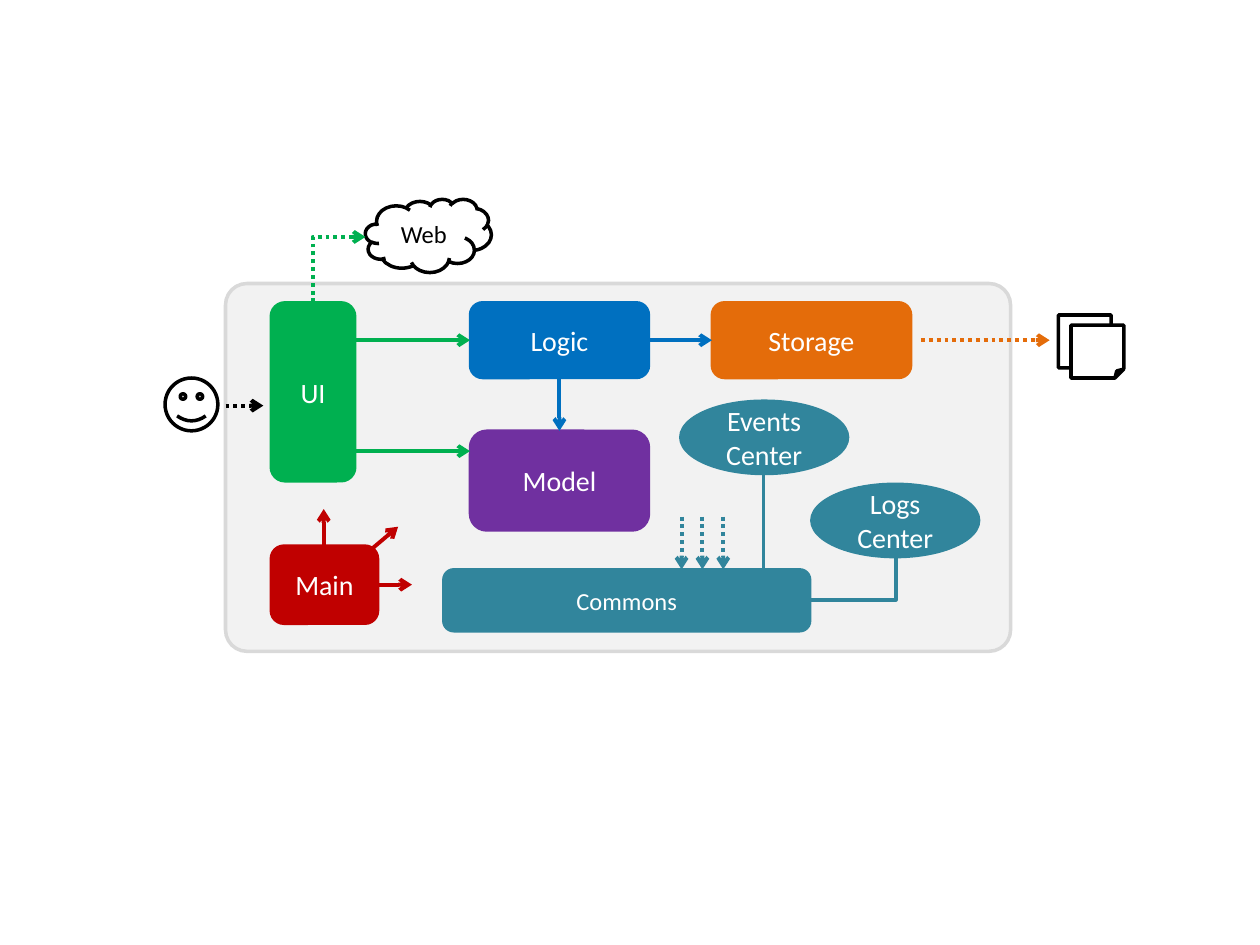
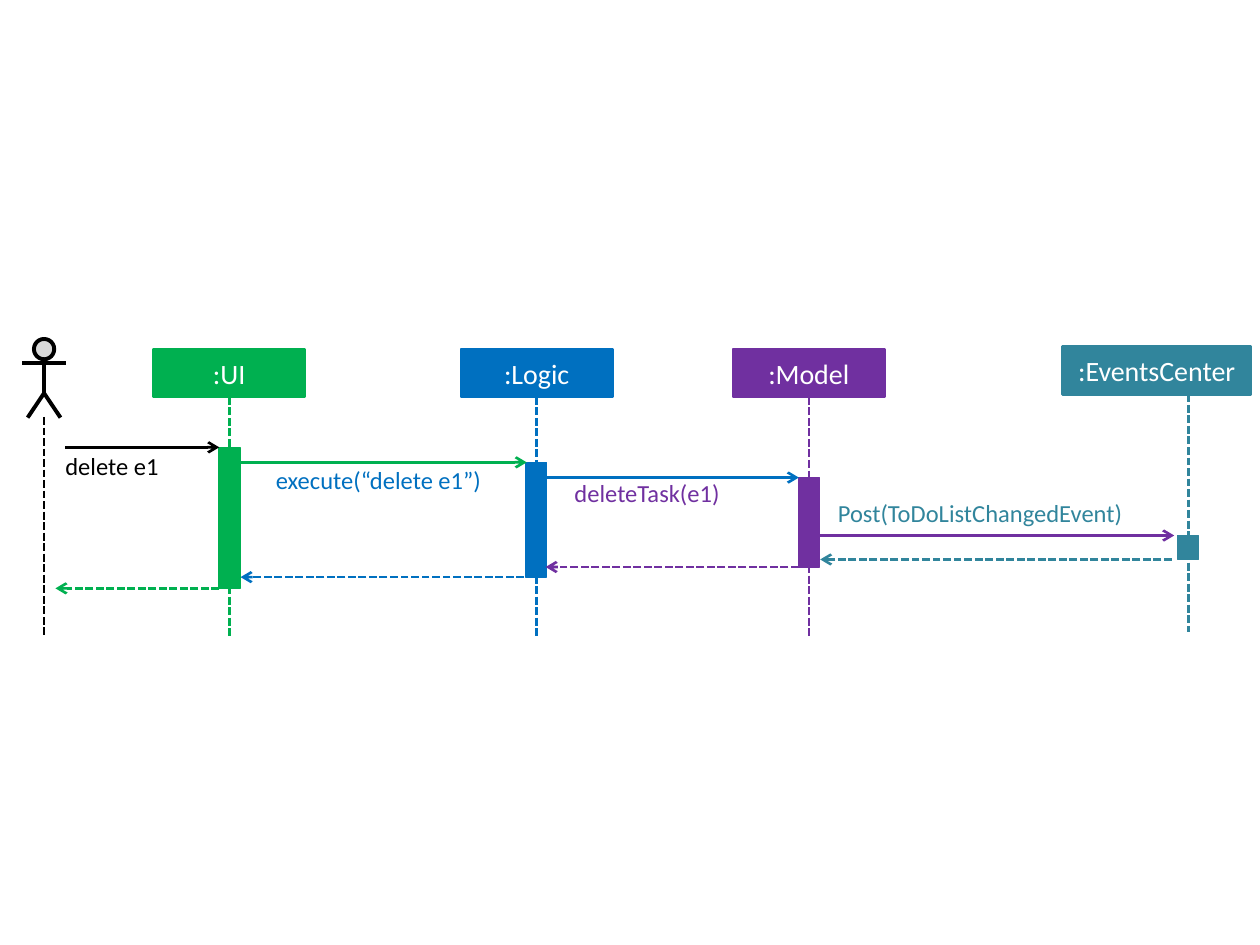
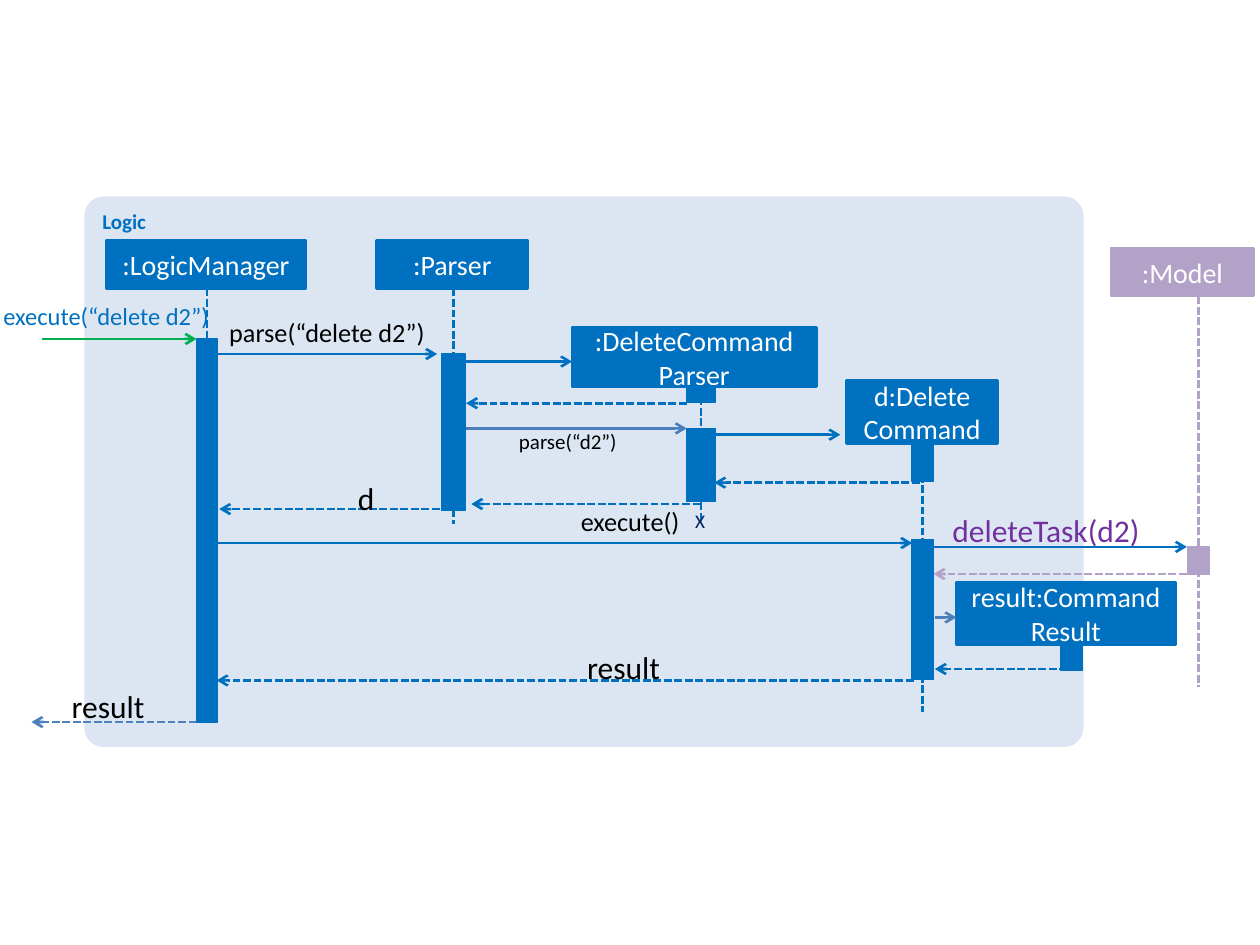
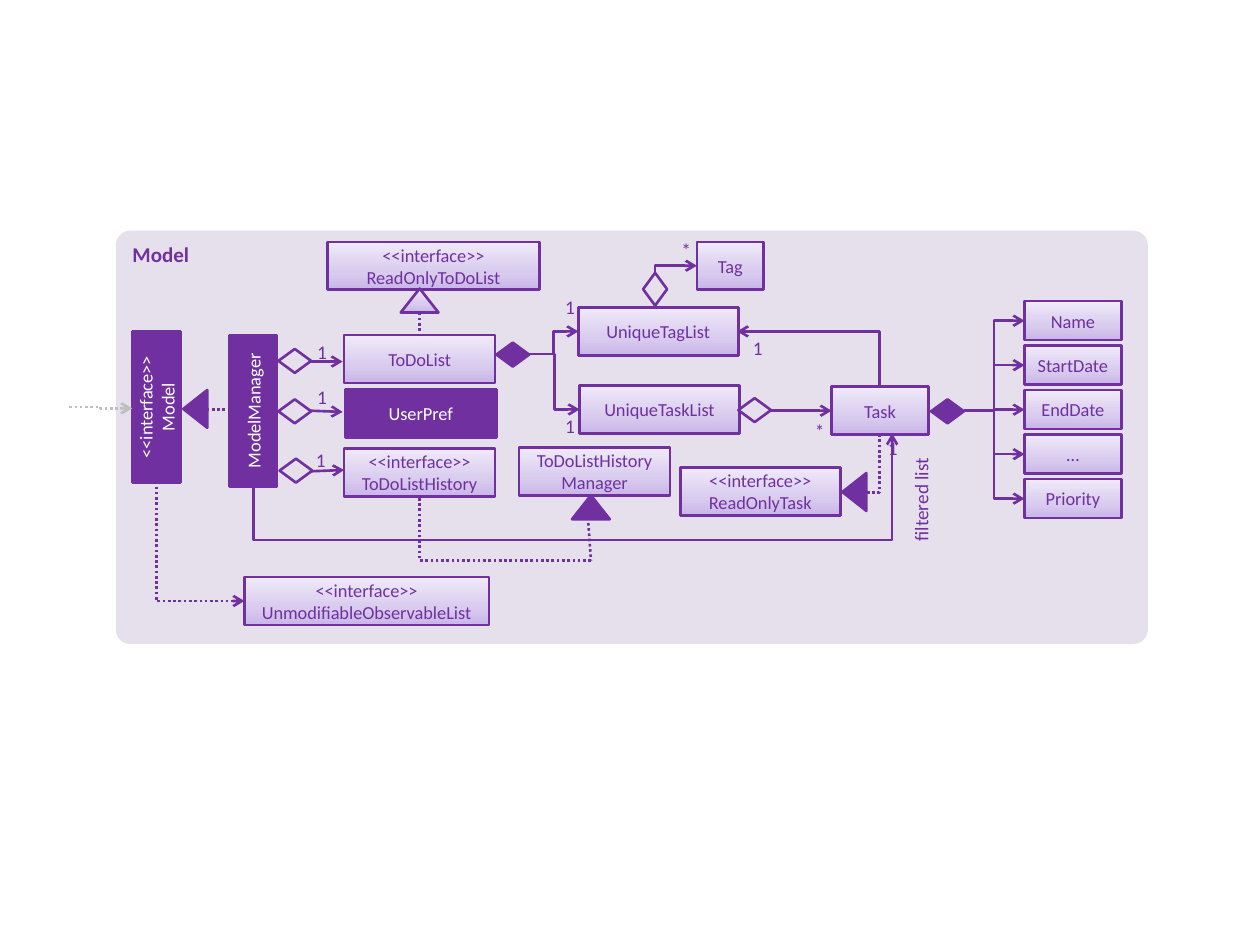
from copy import deepcopy

from lxml import etree
from pptx import Presentation
from pptx import util as u
from pptx.dml.color import RGBColor
from pptx.enum import dml, shapes, text
from pptx.oxml.ns import qn

Kind = shapes.MSO_SHAPE
Align = text.PP_ALIGN
Anchor = text.MSO_ANCHOR
DOTS = dml.MSO_LINE.ROUND_DOT
DASHES = dml.MSO_LINE.SQUARE_DOT
COLORS = {
    "ui": "00B050", "logic": "0070C0", "storage": "E46C0A", "model": "7030A0",
    "commons": "31859C", "main": "C00000", "black": "000000", "white": "FFFFFF",
    "panel": "F2F2F2", "panel_edge": "D9D9D9", "logic_panel": "DCE6F2",
    "model_panel": "E6E0EC", "pale_model": "B3A2C7", "steel": "4F81BD",
    "call": "4B7EBC", "navy": "002060", "gray": "BFBFBF",
}
GRADIENT = {0: "C9B5E8", 0.35: "D8CBEE", 1: "F0EAF9"}


def pts(*values):
    return [u.Pt(value) for value in values]


def rgb(color):
    return RGBColor.from_string(COLORS[color])


def apply(target, values):
    for name, value in values.items():
        setattr(target, name, value)


class Diagram:
    font = "Calibri"

    def __init__(self):
        self.deck = Presentation()
        apply(self.deck, {"slide_width": u.Pt(720), "slide_height": u.Pt(540)})

    def start(self):
        slide = self.deck.slides.add_slide(self.deck.slide_layouts[6])
        self.shapes = slide.shapes

    def set_words(self, frame, words, color, size, align, bold=False):
        frame.text = words
        for paragraph in frame.paragraphs:
            paragraph.alignment = align
            for run in paragraph.runs:
                apply(run.font, {"name": self.font, "size": u.Pt(size), "bold": bold})
                run.font.color.rgb = rgb(color)

    def outline(self, target, color, width):
        target.line.color.rgb = rgb(color)
        target.line.width = u.Pt(width)

    def shade(self, shape):
        shape.fill.gradient()
        stops = shape._element.spPr.find(".//" + qn("a:gsLst"))
        stops.append(deepcopy(stops[0]))
        for stop, (position, color) in zip(shape.fill.gradient_stops, GRADIENT.items()):
            stop.position = position
            stop.color.rgb = RGBColor.from_string(color)
        shape.fill.gradient_angle = 90

    def box(self, kind, place, fill, words="", edge=None, width=1.5, size=16,
            color="white", turn=0):
        shape = self.shapes.add_shape(kind, *pts(*place))
        shape.rotation = turn
        shape.shadow.inherit = False
        if fill == "gradient":
            self.shade(shape)
        elif fill:
            shape.fill.solid()
            shape.fill.fore_color.rgb = rgb(fill)
        else:
            shape.fill.background()
        self.outline(shape, edge or fill, width)
        if words:
            apply(shape.text_frame, {"word_wrap": True, "vertical_anchor": Anchor.MIDDLE})
            self.set_words(shape.text_frame, words, color, size, Align.CENTER)
        return shape

    def panel(self, place, fill, corner, title="", color="black", edge=None):
        shape = self.box(Kind.ROUNDED_RECTANGLE, place, fill, edge=edge, width=2)
        shape.adjustments[0] = corner
        if not edge:
            shape.line.fill.background()
        if title:
            shape.text_frame.vertical_anchor = Anchor.TOP
            self.set_words(shape.text_frame, title, color, 12, Align.LEFT, True)

    def label(self, place, words, color="black", size=14, align=Align.LEFT,
              inset=(0, 0), wrap=True, turn=0):
        note = self.shapes.add_textbox(*pts(*place))
        note.rotation = turn
        side, top = pts(*inset)
        apply(note.text_frame, {
            "margin_left": side, "margin_right": side, "margin_top": top,
            "margin_bottom": top, "word_wrap": wrap})
        self.set_words(note.text_frame, words, color, size, align)

    def line(self, begin, end, color, width=1.5, dash=None, arrow=True,
             kind=shapes.MSO_CONNECTOR.STRAIGHT):
        link = self.shapes.add_connector(kind, *pts(*begin, *end))
        self.outline(link, color, width)
        if dash:
            link.line.dash_style = dash
        properties = link._element.spPr
        if arrow:
            etree.SubElement(properties.find(qn("a:ln")), qn("a:tailEnd"), type="arrow")
        etree.SubElement(properties, qn("a:effectLst"))
        return link

    def elbow(self, begin, end, color, bends=1, down=False, bend_at=None, **look):
        if down:
            (x1, y1), (x2, y2) = begin, end
            cx, cy = (x1 + x2) / 2, (y1 + y2) / 2
            along, across = (y2 - y1) / 2, (x1 - x2) / 2
            begin, end = (cx - along, cy - across), (cx + along, cy + across)
        link = self.line(begin, end, color, kind=shapes.MSO_CONNECTOR.ELBOW, **look)
        properties = link._element.spPr
        geometry = properties.find(qn("a:prstGeom"))
        geometry.set("prst", f"bentConnector{bends + 1}")
        if down:
            properties.find(qn("a:xfrm")).set("rot", "5400000")
        if bend_at is not None:
            guides = geometry.find(qn("a:avLst"))
            if guides is None:
                guides = etree.SubElement(geometry, qn("a:avLst"))
            etree.SubElement(guides, qn("a:gd"), name="adj1",
                             fmla=f"val {round(bend_at * 100000)}")

    def message(self, start, end, y, color, reply=False):
        self.line((start, y), (end, y), color, dash=DASHES if reply else None)

    def lifeline(self, name, head, color, axis, end, bars, thick=12):
        self.box(Kind.RECTANGLE, head, color, name)
        if end:
            self.line((axis, head[1] + head[3]), (axis, end), color, dash=DASHES, arrow=False)
        for top, height in bars:
            self.box(Kind.RECTANGLE, (axis - thick / 2, top, thick, height), color, width=0.75)

    def actor(self, axis, top):
        slide_shapes = self.shapes
        self.shapes = slide_shapes.add_group_shape().shapes
        self.box(Kind.FLOWCHART_CONNECTOR, (axis - 5.8, top, 11.6, 11.6), "panel_edge",
                 edge="black", width=2.25)
        hip = top + 31
        self.line((axis, top + 11.6), (axis, hip), "black", 2.25, arrow=False)
        pen = self.shapes.build_freeform(*pts(axis - 9.4, hip + 14))
        pen.add_line_segments([pts(axis, hip), pts(axis + 9.4, hip + 14)], close=False)
        legs = pen.convert_to_shape()
        legs.shadow.inherit = False
        legs.fill.background()
        self.outline(legs, "black", 2.25)
        self.line((axis - 12.6, top + 13.7), (axis + 12.6, top + 13.7), "black", 2.25, arrow=False)
        self.shapes = slide_shapes

    def entity(self, place, words, fill="gradient", turn=0):
        self.box(Kind.RECTANGLE, place, fill, words, "model", size=10.5,
                 color="model" if fill == "gradient" else "white", turn=turn)

    def diamond(self, x, y, fill=None, turn=0):
        self.box(Kind.FLOWCHART_DECISION, (x, y, 18.7, 13.7), fill, edge="model", turn=turn)

    def triangle(self, x, y, fill="model", turn=0):
        self.box(Kind.ISOSCELES_TRIANGLE, (x, y, 21.6, 13.7), fill, edge="model", turn=turn)


d = Diagram()

d.start()
d.panel((128.9, 162, 448.6, 210.2), "panel", 0.058, edge="panel_edge")
for name, place, color, size in [
    ("UI", (154.8, 172.8, 48.2, 102.2), "ui", 16),
    ("Logic", (268.6, 172.8, 102.2, 43.2), "logic", 16),
    ("Storage", (406.8, 172.8, 113.8, 43.2), "storage", 16),
    ("Model", (268.6, 246.2, 102.2, 56.9), "model", 16),
    ("Commons", (253.4, 325.4, 209.5, 35.3), "commons", 14),
    ("Main", (154.8, 311.8, 61.2, 44.6), "main", 16),
]:
    d.box(Kind.ROUNDED_RECTANGLE, place, color, name, size=size)
for begin, end, color, dash in [
    ((202.3, 194.4), (268.6, 194.4), "ui", None),
    ((202.3, 257.8), (268.6, 257.8), "ui", None),
    ((319.7, 216), (319.7, 246.2), "logic", None),
    ((370.8, 194.4), (406.8, 194.4), "logic", None),
    ((128.9, 231.8), (150.5, 231.8), "black", DOTS),
    ((526.3, 194.4), (599.8, 194.4), "storage", DOTS),
    ((216, 334.1), (235.4, 334.1), "main", None),
    ((204.5, 320.4), (227.5, 301), "main", None),
    ((185, 314.6), (185, 290.9), "main", None),
    *[((x, 295.2), (x, 325.4), "commons", DOTS) for x in (389.5, 401.4, 413.3)],
]:
    d.line(begin, end, color, 2.25, dash)
for kind, place, words in [
    (Kind.SMILEY_FACE, (94.3, 216, 30.2, 30.2), ""),
    (Kind.FOLDED_CORNER, (604.8, 180, 30.2, 30.2), ""),
    (Kind.FOLDED_CORNER, (612, 185.8, 30.2, 30.2), ""),
    (Kind.CLOUD, (208.8, 113.8, 72, 41.8), "Web"),
]:
    d.box(kind, place, "white", words, "black", 2, 14, "black")
d.elbow((178.6, 172.8), (208.8, 135.4), "ui", down=True, width=2.25, dash=DOTS)
d.box(Kind.OVAL, (388.8, 229, 95.8, 41.8), "commons", "Events Center")
d.box(Kind.OVAL, (463.7, 276.5, 95.8, 41.8), "commons", "Logs\vCenter")
d.elbow((511.9, 319), (463, 342.7), "commons", down=True, width=2.25, arrow=False)
d.line((436.3, 271.4), (436.3, 326.2), "commons", 2.25, arrow=False)

d.start()
d.actor(25.2, 193.7)
d.line((25.2, 238.3), (25.2, 364.3), "black", dash=DASHES, arrow=False)
for name, head, color, axis, end, bar in [
    (":UI", (87.8, 199.4, 86.4, 27.4), "ui", 131.2, 363.6, (255.6, 80.6)),
    (":Logic", (263.5, 199.4, 86.4, 27.4), "logic", 306.4, 364.3, (264.2, 65.5)),
    (":Model", (419, 199.4, 86.4, 27.4), "model", 462.2, 363.6, (272.9, 51.1)),
    (":EventsCenter", (607, 198, 108, 27.4), "commons", 679, 361.4, (306, 13.7)),
]:
    d.lifeline(name, head, color, axis, end, [bar])
for start, end, y, color, reply in [
    (37.4, 125.3, 255.6, "black", False),
    (137.5, 301, 264.2, "ui", False),
    (311.8, 456.5, 272.9, "logic", False),
    (468.7, 671, 306, "model", False),
    (669.6, 468.7, 319.7, "commons", True),
    (456.5, 311.8, 324, "model", True),
    (299.5, 137.5, 329.8, "logic", True),
    (125.3, 31.7, 336.2, "ui", True),
]:
    d.message(start, end, y, color, reply)
for x, y, width, words, color in [
    (37.4, 257.8, 67.7, "delete e1", "black"),
    (157.7, 265.7, 125.3, "execute(“delete e1”)", "logic"),
    (328.3, 272.9, 112.3, "deleteTask(e1)", "model"),
    (478.8, 284.4, 192.2, "Post(ToDoListChangedEvent)", "commons"),
]:
    d.label((x, y, width, 17.3), words, color)

d.start()
d.panel((48.2, 112.3, 571, 314.6), "logic_panel", 0.035, "Logic", "logic")
for name, head, color, axis, end, bars, thick in [
    (":LogicManager", (60.5, 137.5, 114.5, 27.4), "logic", 118.3, 370.8,
     [(193.7, 218.9)], 12.2),
    (":Parser", (215.3, 137.5, 86.4, 27.4), "logic", 259, 299.5, [(202.3, 89.3)], 13.7),
    ("d:Delete\vCommand", (483.8, 217.4, 86.4, 36), "logic", 527, 406.8,
     [(253.4, 21.6), (308.2, 79.9)], 12.6),
    (":Model", (635, 141.8, 81.4, 27.4), "pale_model", 684.9, 392.4, [(312.5, 15.8)], 12.2),
    ("result:Command Result", (546.5, 332.6, 125.3, 36), "logic", 612.4, None,
     [(369.4, 13.7)], 12.2),
    (":DeleteCommand\nParser", (326.9, 187.2, 139.7, 33.8), "logic", 400.6, 298.8,
     [(220.3, 9.4), (244.8, 41.8)], 16.6),
]:
    d.lifeline(name, head, color, axis, end, bars, thick)
for start, end, y, color, reply in [
    (23.8, 112.3, 193.7, "ui", False),
    (123.8, 249.8, 202.3, "logic", False),
    (262.8, 326.9, 206.6, "logic", False),
    (392.4, 266.4, 230.4, "logic", True),
    (266.4, 392.4, 244.8, "call", False),
    (408.2, 480.2, 248.4, "logic", False),
    (525.6, 408.2, 275.8, "logic", True),
    (400.3, 269.3, 288, "logic", True),
    (251.3, 125.3, 290.9, "logic", True),
    (123.8, 521.3, 310.3, "logic", False),
    (533.5, 678.2, 312.5, "logic", False),
    (678.2, 533.5, 328, "pale_model", True),
    (534.2, 546.5, 352.8, "call", False),
    (609.8, 534.2, 382.3, "logic", True),
    (522, 123.8, 388.8, "logic", True),
    (112.3, 18, 412.6, "steel", True),
]:
    d.message(start, end, y, color, reply)
for place, words, color, size, align in [
    ((-2.9, 172.1, 122.4, 17.3), "execute(“delete d2”)", "logic", 14, Align.RIGHT),
    ((131, 180.7, 112.3, 18), "parse(“delete d2”)", "black", 15, Align.LEFT),
    ((296.6, 244.8, 60.5, 14.4), "parse(“d2”)", "black", 12, Align.LEFT),
    ((331.9, 288.7, 81.4, 18), "execute()", "black", 15, Align.LEFT),
    ((544.3, 292.3, 112.3, 21.6), "deleteTask(d2)", "model", 18, Align.LEFT),
    ((204.5, 273.6, 17.3, 17.3), "d", "black", 18, Align.LEFT),
    ((335.5, 370.1, 49, 17.3), "result", "black", 18, Align.LEFT),
    ((41, 392.4, 59.8, 17.3), "result", "black", 18, Align.LEFT),
]:
    d.label(place, words, color, size, align)
d.label((390.2, 287.3, 20.2, 20.9), "X", "navy", 11, inset=(7.2, 3.6), wrap=False)

d.start()
d.panel((66.2, 131.8, 589.7, 236.2), "model_panel", 0.035, "Model", "model")
for x, y, words, turn in [
    (197.3, 222.5, "UserPref", 0),
    (101.5, 221, "ModelManager", 270),
    (46.1, 218.9, "<<interface>>\nModel", 270),
]:
    d.entity((x, y, 86.4, 27.4), words, "model", turn)
for x, y, width, words in [
    (196.6, 191.5, 86.4, "ToDoList"),
    (331.2, 220.3, 91.4, "UniqueTaskList"),
    (330.5, 175.7, 91.4, "UniqueTagList"),
    (475.2, 221, 55.4, "Task"),
    (398.2, 138.2, 38.2, "Tag"),
    (388.8, 267.1, 91.4, "<<interface>>\vReadOnlyTask"),
    (187.2, 138.2, 121, "<<interface>>\vReadOnlyToDoList"),
    (139.7, 329.8, 139.7, "<<interface>>\vUnmodifiableObservableList"),
    (196.6, 256.3, 86.4, "<<interface>>\nToDoListHistory"),
    (296.6, 255.6, 86.4, "ToDoListHistoryManager"),
]:
    d.entity((x, y, width, 27.4), words)
for row, words in enumerate(["Name", "StartDate", "EndDate", "…", "Priority"]):
    top = 172.1 + row * 25.4
    d.entity((585.4, top, 55.4, 22.3), words)
    d.elbow((550.8, 234.7), (585.4, top + 11.2), "model", bends=2)
for x, y, fill, turn in [
    (159.1, 199.4, None, 0), (159.1, 228.2, None, 0), (159.8, 262.1, None, 0),
    (421.9, 227.5, None, 0), (365, 158.4, None, 270),
    (283.7, 195.8, "model", 0), (532.1, 228.2, "model", 0),
]:
    d.diamond(x, y, fill, turn)
for x, y, fill, turn in [
    (100.8, 226.8, "model", 270), (477.4, 274.3, "model", 270),
    (326.9, 283, "model", 0), (229, 164.9, "gradient", 0),
]:
    d.triangle(x, y, fill, turn)
for begin, end in [
    ((177.1, 206.6), (195.8, 206.6)),
    ((177.1, 234.7), (195.8, 235.4)),
    ((177.8, 269.3), (196.6, 268.6)),
    ((440.6, 234.7), (475.2, 234.7)),
]:
    d.line(begin, end, "model")
for begin, end in [
    ((118.1, 234), (135.4, 234)),
    ((239.8, 178.6), (239.8, 191.5)),
    ((336.2, 298.8), (337.7, 320.4)),
]:
    d.line(begin, end, "model", dash=DOTS, arrow=False)
d.elbow((495.4, 281.5), (502.6, 248.4), "model", dash=DOTS, arrow=False)
d.elbow((337.7, 320.4), (239.8, 283), "model", dash=DOTS, arrow=False)
d.elbow((89.3, 275), (139.7, 343.4), "model", down=True, dash=DOTS)
d.elbow((39.6, 232.6), (75.6, 233.3), "gray", bends=2, dash=DOTS)
d.elbow((144.7, 277.9), (509.8, 247.7), "model", bends=2, down=True, bend_at=-1.02)
d.elbow((302.4, 202.3), (331.2, 234), "model", bends=2)
d.elbow((302.4, 202.3), (330.5, 189.4), "model", bends=2)
d.elbow((374.4, 156.2), (398.2, 151.9), "model", down=True)
d.elbow((502.6, 221), (421.2, 189.4), "model", down=True)
for x, y, count in [
    (318.2, 168.5, "1"), (318.2, 236.9, "1"), (425.5, 192.2, "1"), (384.5, 136.1, "*"),
    (460.8, 239.8, "*"), (176.4, 194.4, "1"), (176.4, 220.3, "1"), (502.6, 249.1, "1"),
    (175.7, 256.3, "1"),
]:
    d.label((x, y, 15.1, 14.4), count, "model", 11, Align.CENTER)
d.label((491.8, 278.6, 69.1, 20.9), "filtered list", "model", 11, Align.RIGHT,
        inset=(7.2, 3.6), turn=270)

d.deck.save("out.pptx")
